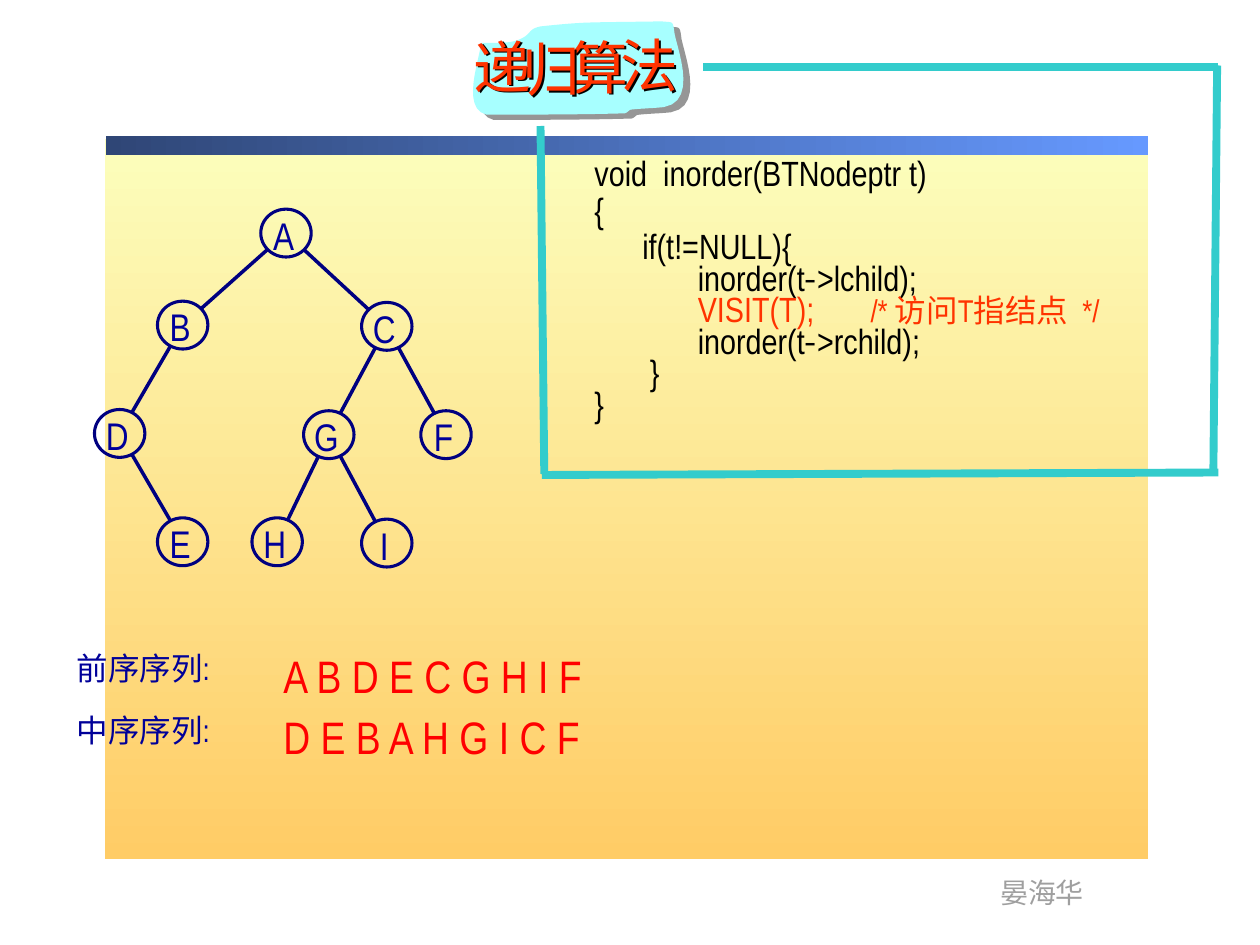
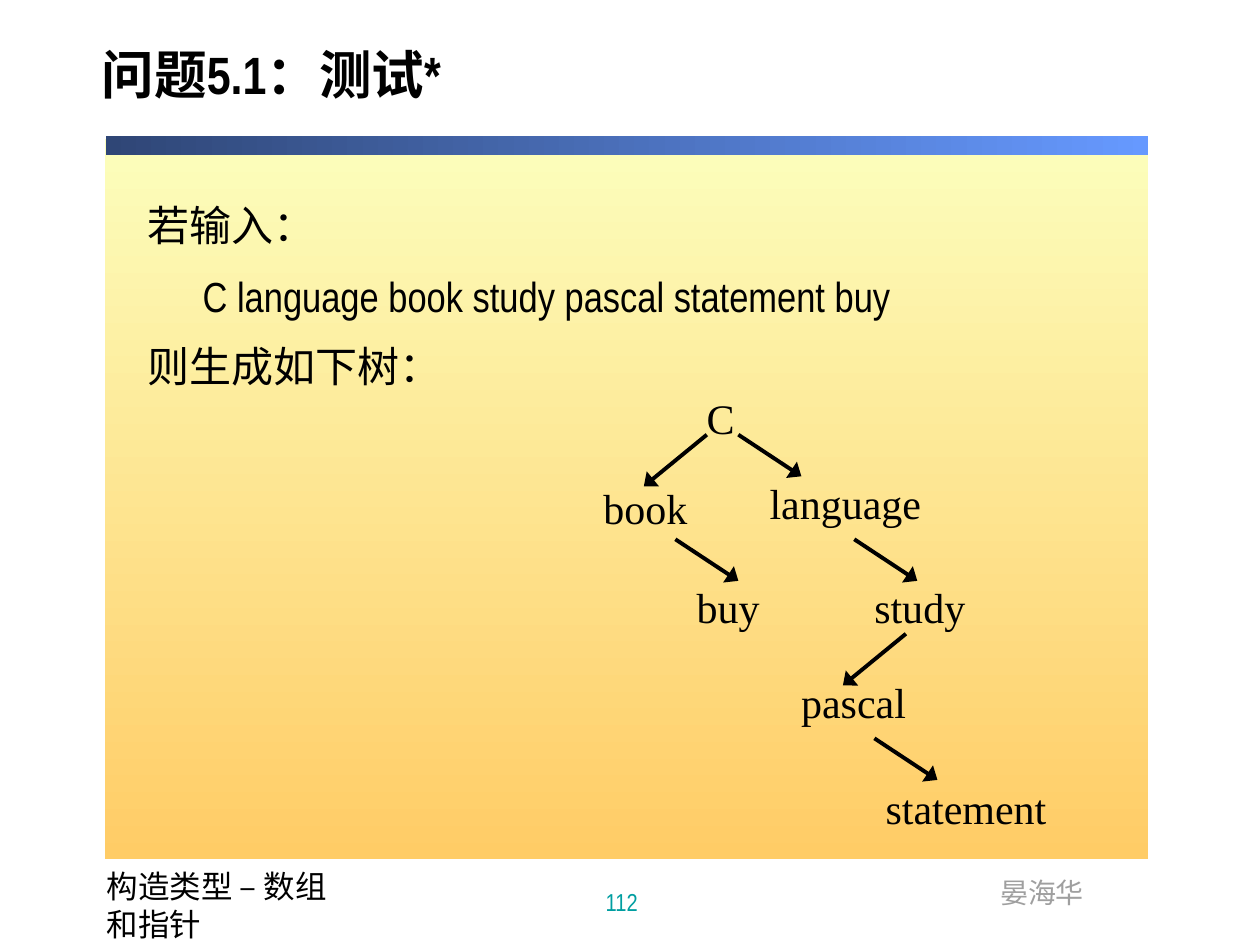
import math
from lxml import etree
from pptx import Presentation
from pptx.dml.color import RGBColor
from pptx.enum import shapes, text
from pptx.oxml import ns
from pptx.util import Inches, Pt

COLORS = {
    "sand_top": "FCFEBC", "sand_bottom": "FFCC66",
    "band_left": "2F4676", "band_right": "6699FF",
    "grey": "9F9F9F", "navy": "000080", "blue": "000099",
    "red": "FF0000", "orange": "FF3300", "black": "000000",
    "teal": "33CCCC", "number": "009EA1", "plaque": "A7FFFF", "shade": "969696",
}
NARROW, CJK, SERIF = "Arial Narrow", "Noto Sans CJK SC", "Times New Roman"

NODE_SIZE = (0.4, 0.38)
NODES = {
    "A": (2.07, 1.66), "B": (1.25, 2.39), "C": (2.87, 2.4),
    "D": (0.75, 3.25), "G": (2.41, 3.26), "F": (3.34, 3.26),
    "H": (2, 4.11), "E": (1.25, 4.11), "I": (2.87, 4.12),
}
EDGES = ["AB", "AC", "BD", "CG", "CF", "DE", "GI", "GH"]
SEQUENCES = [("前序序列:", "A B D E C G H I F"), ("中序序列:", "D E B A H G I C F")]

DASH = ("-", {"font": CJK})
RED = {"color": "orange"}
COMMENT = {"color": "orange", "size": 18}
CODE = [
    (0, 3, [("void  inorder(BTNodeptr t)", {})]),
    (0, 3, [("{", {})]),
    (0.38, 0, [("if(t!=NULL){", {})]),
    (0.82, 0, [("inorder(t", {}), DASH, (">lchild);", {})]),
    (0.82, 0, [("VISIT(T);", RED), (" ", {"gap": 27.5}), ("/* ", COMMENT),
               ("访问", {**COMMENT, "font": CJK}), ("T", COMMENT),
               ("指结点", {**COMMENT, "font": CJK}), ("  */", COMMENT)]),
    (0.82, 0, [("inorder(t", {}), DASH, (">rchild);", {})]),
    (0.44, 0, [("}", {})]),
    (0, 0, [("}", {})]),
]
CODE_FRAME = [((4.29, 1), (4.32, 3.76)), ((9.67, 3.75), (4.3, 3.77)),
              ((9.66, 0.52), (9.63, 3.75)), ((9.67, 0.53), (5.58, 0.53))]

PLAQUE_START = (3.82, 0.34)
PLAQUE_CURVES = [
    ((3.8, 0.49), (3.66, 0.86), (3.86, 0.91)),
    ((4.22, 0.91), (4.59, 0.91), (4.95, 0.9)),
    ((4.98, 0.9), (4.99, 0.87), (5.01, 0.87)),
    ((5.1, 0.86), (5.18, 0.86), (5.27, 0.85)),
    ((5.56, 0.8), (5.35, 0.33), (5.35, 0.24)),
    ((5.34, 0.16), (5.33, 0.18), (5.25, 0.17)),
    ((4.66, 0.18), (4.67, 0.17), (4.29, 0.21)),
    ((4.19, 0.23), (4.22, 0.27), (4.13, 0.31)),
    ((4.05, 0.35), (3.91, 0.34), (3.82, 0.34)),
]
PLAQUE_LETTERS = [("算", 4.43, 0.2), ("法", 4.83, 0.19), ("递", 3.66, 0.2), ("归", 4.05, 0.22)]

BODY = [(0, "若输入："), (0.44, "C language book study pascal statement buy"), (0, "则生成如下树：")]
WORDS = [
    ("C", 5.51, 3.07, 0.42), ("language", 6.01, 3.74, 1.4), ("book", 4.69, 3.78, 0.87),
    ("study", 6.84, 4.57, 0.92), ("pascal", 6.26, 5.32, 1.03),
    ("statement", 6.93, 6.16, 1.48), ("buy", 5.43, 4.57, 0.7),
]
LEFT, RIGHT = (-0.5, 0.41), (0.5, 0.33)
ARROWS = [(5.86, 3.45, RIGHT), (5.61, 3.45, LEFT), (6.78, 4.28, RIGHT),
          (7.19, 5.03, LEFT), (6.94, 5.86, RIGHT), (5.36, 4.28, RIGHT)]


def rgb(name):
    return RGBColor.from_string(COLORS[name])


def add_xml(parent, tag, **attributes):
    return etree.SubElement(parent, ns.qn(tag), attributes)


def add_shadow(shape, color, distance, angle):
    effects = add_xml(shape._element.spPr, "a:effectLst")
    shade = add_xml(effects, "a:outerShdw", blurRad="0", dist=str(Pt(distance)),
                    dir=str(angle * 60000), algn="ctr", rotWithShape="0")
    add_xml(shade, "a:srgbClr", val=COLORS[color])


def add_span(para, words, size, color, font=NARROW, bold=False, gap=0):
    span = para.add_run()
    span.text = words
    span.font.size = Pt(size)
    span.font.bold = bold
    span.font.color.rgb = rgb(color)
    span.font.name = font
    props = span.font._element
    if gap:
        props.set("spc", str(round(gap * 100)))
    props.find(ns.qn("a:latin")).addnext(etree.Element(ns.qn("a:ea"), typeface=CJK))


def add_box(page, at, wrap=True, anchor=text.MSO_ANCHOR.TOP):
    box = page.shapes.add_textbox(*map(Inches, at))
    box.text_frame.word_wrap = wrap
    box.text_frame.vertical_anchor = anchor
    return box


def add_label(page, at, words, size, color, font=NARROW, bold=False, align=None, **frame):
    box = add_box(page, at, **frame)
    para = box.text_frame.paragraphs[0]
    para.alignment = align
    add_span(para, words, size, color, font, bold)
    return box


def add_paras(box, count):
    frame = box.text_frame
    return [frame.paragraphs[0]] + [frame.add_paragraph() for _ in range(count - 1)]


def indent_first_line(para, inches):
    props = para._p.get_or_add_pPr()
    props.set("marL", "0")
    props.set("indent", str(Inches(inches)))


def add_line(page, start, end, color, width, arrow=False):
    line = page.shapes.add_connector(
        shapes.MSO_CONNECTOR.STRAIGHT, *map(Inches, (*start, *end)))
    line.line.color.rgb = rgb(color)
    line.line.width = Pt(width)
    props = line._element.spPr
    if arrow:
        add_xml(props.find(ns.qn("a:ln")), "a:tailEnd", type="triangle", w="lg", len="med")
    add_xml(props, "a:effectLst")


def add_gradient(page, at, first, last, angle):
    panel = page.shapes.add_shape(shapes.MSO_SHAPE.RECTANGLE, *map(Inches, at))
    panel.shadow.inherit = False
    panel.line.fill.background()
    panel.fill.gradient()
    panel.fill.gradient_angle = angle
    for stop, color in zip(panel.fill.gradient_stops, (first, last)):
        stop.color.rgb = rgb(color)


def add_page(deck):
    page = deck.slides.add_slide(deck.slide_layouts[6])
    add_gradient(page, (0.83, 1.1, 8.28, 5.72), "sand_top", "sand_bottom", 270)
    add_gradient(page, (0.84, 1.08, 8.27, 0.15), "band_left", "band_right", 0)
    add_label(page, (7.84, 6.9, 0.87, 0.37), "晏海华", 16, "grey", wrap=False)
    return page


def add_tree(page):
    width, height = NODE_SIZE
    for letter, (left, top) in NODES.items():
        node = page.shapes.add_shape(
            shapes.MSO_SHAPE.OVAL, *map(Inches, (left, top, width, height)))
        node.shadow.inherit = False
        node.fill.background()
        node.line.color.rgb = rgb("navy")
        node.line.width = Pt(1.75)
        add_label(page, (left - 0.03, top - 0.03, 0.42, 0.47), letter, 22, "blue",
                  align=text.PP_ALIGN.CENTER, wrap=False)
    radius = width / 2
    for parent, child in EDGES:
        (x1, y1), (x2, y2) = [(NODES[n][0] + radius, NODES[n][1] + height / 2)
                              for n in (parent, child)]
        length = math.hypot(x2 - x1, y2 - y1)
        dx, dy = radius * (x2 - x1) / length, radius * (y2 - y1) / length
        add_line(page, (x1 + dx, y1 + dy), (x2 - dx, y2 - dy), "navy", 2)


def add_code(page):
    box = add_box(page, (4.62, 1.23, 6.14, 2.2))
    for para, (indent, after, spans) in zip(add_paras(box, len(CODE)), CODE):
        para.line_spacing = 0.75
        para.space_after = Pt(after)
        indent_first_line(para, indent)
        for words, style in spans:
            add_span(para, words, **{"size": 20, "color": "black", **style})
    for start, end in CODE_FRAME:
        add_line(page, start, end, "teal", 4.5)


def curve_points(start, curves, steps=12):
    for a, b, end in curves:
        for step in range(1, steps + 1):
            t = step / steps
            s = 1 - t
            yield tuple(s**3 * p + 3 * s * s * t * q + 3 * s * t * t * r + t**3 * e
                        for p, q, r, e in zip(start, a, b, end))
        start = end


def add_plaque(page):
    builder = page.shapes.build_freeform(*map(Inches, PLAQUE_START))
    outline = [tuple(map(Inches, point)) for point in curve_points(PLAQUE_START, PLAQUE_CURVES)]
    builder.add_line_segments(outline, close=True)
    plaque = builder.convert_to_shape()
    plaque.fill.solid()
    plaque.fill.fore_color.rgb = rgb("plaque")
    plaque.line.fill.background()
    add_shadow(plaque, "shade", 5, 37)
    for letter, left, top in PLAQUE_LETTERS:
        box = add_label(page, (left, top, 0.7, 0.65), letter, 33, "orange")
        add_shadow(box, "black", 1.5, 45)


def build_recursion(deck):
    page = add_page(deck)
    add_tree(page)
    add_code(page)
    add_plaque(page)
    for row, (name, letters) in enumerate(SEQUENCES):
        top = 5.1 + 0.49 * row
        add_label(page, (0.51, top, 1.95, 0.5), name, 18, "blue")
        add_label(page, (2.15, top - 0.01, 3.41, 0.53), letters, 26, "red")


def build_word_tree(deck):
    page = add_page(deck)
    add_label(page, (0.75, 6.83, 2.08, 0.5), "构造类型 – 数组和指针", 18, "black")
    add_label(page, (3.35, 6.82, 3.17, 0.5), "112", 14, "number",
              align=text.PP_ALIGN.CENTER, anchor=text.MSO_ANCHOR.BOTTOM)
    title = add_label(page, (0.71, 0.17, 8.96, 0.92), "问题5.1：测试*", 30, "black",
                      bold=True, anchor=text.MSO_ANCHOR.MIDDLE)
    title.text_frame.paragraphs[0].line_spacing = 0.8
    body = add_box(page, (1.07, 1.58, 7.77, 1.85))
    for para, (indent, words) in zip(add_paras(body, len(BODY)), BODY):
        para.line_spacing = 0.9
        para.space_before = Pt(14.4)
        indent_first_line(para, indent)
        add_span(para, words, 24, "black")
    for word, left, top, width in WORDS:
        add_label(page, (left, top, width, 0.5), word, 24, "black", SERIF, wrap=False)
    for x, y, (dx, dy) in ARROWS:
        add_line(page, (x, y), (x + dx, y + dy), "black", 2.25, arrow=True)


def main():
    deck = Presentation()
    deck.slide_width, deck.slide_height = Inches(10), Inches(7.5)
    build_recursion(deck)
    build_word_tree(deck)
    deck.save("out.pptx")


if __name__ == "__main__":
    main()
